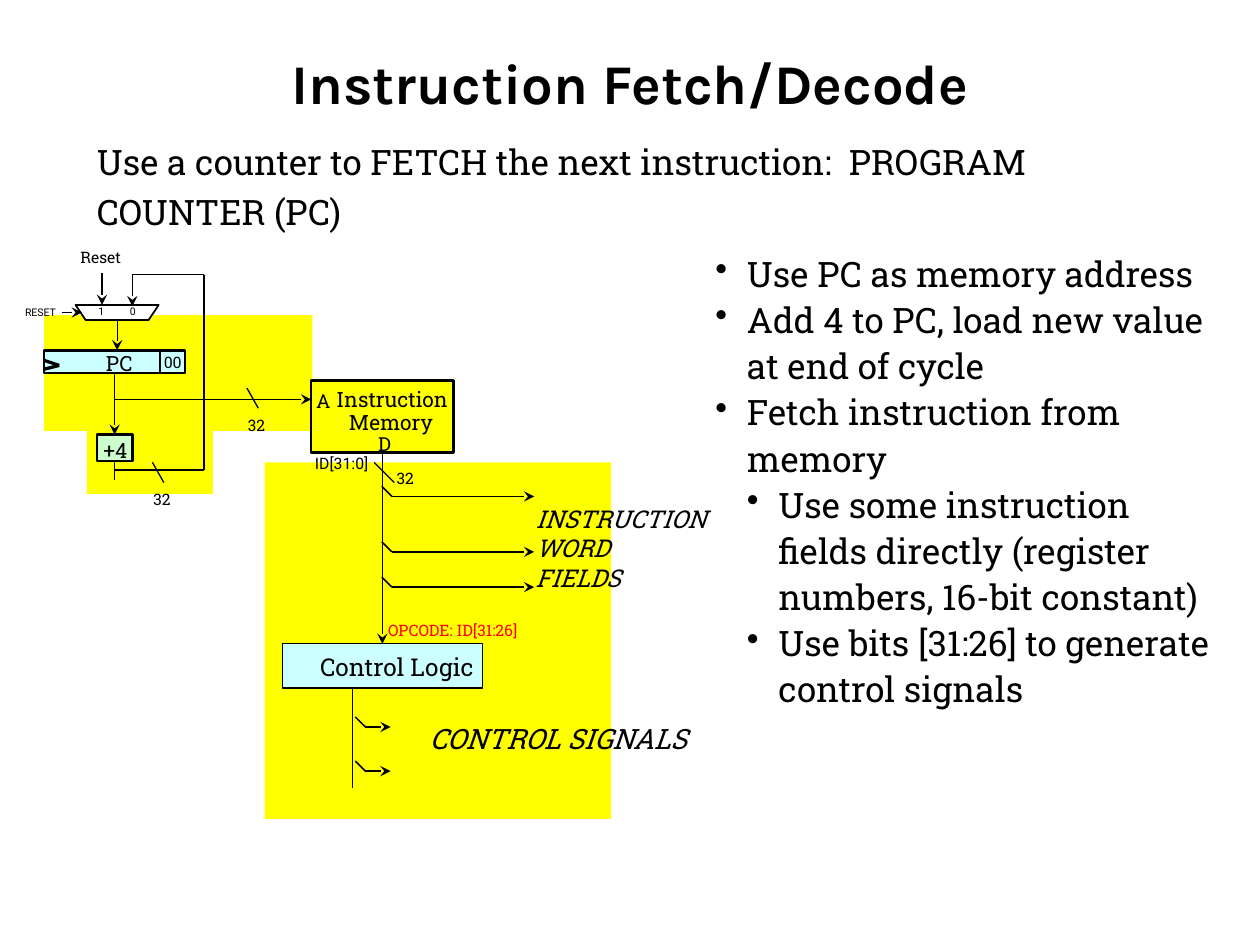
from dataclasses import dataclass
from itertools import pairwise

from lxml import etree
from pptx import Presentation
from pptx.dml.color import RGBColor
from pptx.enum import shapes, text
from pptx.oxml import ns
from pptx.util import Inches, Pt


@dataclass(frozen=True)
class Theme:
    black: str = "000000"
    white: str = "FFFFFF"
    red: str = "FF0000"
    yellow: str = "FFFF00"
    cyan: str = "CCFFFF"
    green: str = "CCFFCC"
    body: str = "Roboto Slab"
    sans: str = "Roboto"
    heading: str = "Karla"
    title: int = 32
    lead: int = 20
    signals: int = 16
    block: int = 14
    unit: int = 12
    port: int = 11
    note: int = 9
    tiny: int = 6


THEME = Theme()
TOP, BOTTOM = 0, 2


@dataclass(frozen=True)
class Box:
    left: float
    top: float
    width: float
    height: float

    def inner(self, left, top, width, height):
        return Box(self.left + left, self.top + top, width, height)

    def point(self, x, y):
        return Inches(self.left + x), Inches(self.top + y)

    def lengths(self):
        return [Inches(v) for v in (self.left, self.top, self.width, self.height)]


def add_span(para, words, size, face=THEME.body, color=THEME.black, **style):
    span = para.add_run()
    span.text = words
    for name, value in {"size": Pt(size), "name": face, **style}.items():
        setattr(span.font, name, value)
    span.font.color.rgb = RGBColor.from_string(color)


def write(shape, words, size, wrap=False, inset=False, **style):
    """Put one paragraph per line of words into the shape."""
    frame = shape.text_frame
    frame.word_wrap = wrap
    frame.auto_size = text.MSO_AUTO_SIZE.SHAPE_TO_FIT_TEXT
    if not inset:
        for side in ("left", "top", "right", "bottom"):
            setattr(frame, f"margin_{side}", 0)
    for index, line in enumerate(words.split("\n")):
        para = frame.add_paragraph() if index else frame.paragraphs[0]
        para.alignment = text.PP_ALIGN.LEFT
        add_span(para, line, size, **style)
    return frame


def add_label(page, box, words, size, **style):
    return write(page.shapes.add_textbox(*box.lengths()), words, size, **style)


def style_shape(shape, fill, line_width=None):
    shape.shadow.inherit = False
    shape.fill.solid()
    shape.fill.fore_color.rgb = RGBColor.from_string(fill)
    if line_width:
        shape.line.width = Pt(line_width)
        shape.line.color.rgb = RGBColor.from_string(THEME.black)
    else:
        shape.line.fill.background()
    return shape


def add_block(page, box, fill, line_width=None):
    block = page.shapes.add_shape(shapes.MSO_SHAPE.RECTANGLE, *box.lengths())
    return style_shape(block, fill, line_width)


def add_wire(page, box, *points, width=0.75, arrow=False):
    """Join the points with straight lines and return the last one."""
    for start, end in pairwise(points):
        wire = page.shapes.add_connector(
            shapes.MSO_CONNECTOR.STRAIGHT, *box.point(*start), *box.point(*end))
        wire.line.width = Pt(width)
        wire.line.color.rgb = RGBColor.from_string(THEME.black)
        etree.SubElement(wire._element.spPr, ns.qn("a:effectLst"))
    if arrow:
        etree.SubElement(wire.line._get_or_add_ln(), ns.qn("a:tailEnd"), type="stealth")
    return wire


def add_tap(page, box, x, y, length):
    """Branch off a vertical bus with a short slant and an arrow."""
    bend = (x + 0.08, y)
    add_wire(page, box, (x, y - 0.08), bend, width=0.88)
    add_wire(page, box, bend, (bend[0] + length, y), arrow=True)


def add_title(page, box):
    frame = add_label(page, box, "Instruction Fetch/Decode", THEME.title, wrap=True,
                      inset=True, face=THEME.heading, bold=True)
    frame.auto_size = text.MSO_AUTO_SIZE.NONE
    frame.vertical_anchor = text.MSO_ANCHOR.MIDDLE
    frame.paragraphs[0].alignment = text.PP_ALIGN.CENTER


def add_lead(page, box):
    words = "Use a counter to FETCH the next instruction:  PROGRAM COUNTER (PC)"
    frame = add_label(page, box, words, THEME.lead, wrap=True, inset=True)
    frame.paragraphs[0].line_spacing = 1.2


def add_fetch(page, box):
    """Program counter, its multiplexer and the adder loop."""
    for area in ((0.25, 0.6, 2.13, 0.92), (0.59, 1.46, 1, 0.56)):
        add_block(page, box.inner(*area), THEME.yellow)
    counter = add_block(page, box.inner(0.25, 0.88, 1.12, 0.18), THEME.cyan, 1.5)
    adder = add_block(page, box.inner(0.67, 1.55, 0.28, 0.21), THEME.green, 1.5)

    outline = page.shapes.build_freeform(*box.point(0.5, 0.52))
    outline.add_line_segments([box.point(*p) for p in ((1.16, 0.52), (1.08, 0.64), (0.58, 0.64))])
    style_shape(outline.convert_to_shape(), THEME.white, 1)

    add_wire(page, box, (0.25, 0.96), (0.37, 1), (0.25, 1.03), width=1.88)
    add_wire(page, box, (1.17, 0.87), (1.17, 1.06), width=1.5)
    step = add_wire(page, box, (0.81, 1.06), (0.81, 1.55), arrow=True)
    step.begin_connect(counter, BOTTOM)
    step.end_connect(adder, TOP)
    add_wire(page, box, (0.81, 1.76), (0.81, 1.91)).begin_connect(adder, BOTTOM)
    for route in (
        [(0.81, 1.83), (1.52, 1.83), (1.52, 0.28), (0.95, 0.28), (0.95, 0.53)],
        [(0.71, 0.27), (0.71, 0.52)],
        [(0.83, 0.64), (0.83, 0.88)],
        [(0.39, 0.58), (0.55, 0.58)],
        [(0.81, 1.27), (2.37, 1.27)],
    ):
        add_wire(page, box, *route, arrow=True)
    for x, y in ((1.11, 1.77), (1.86, 1.18)):
        add_wire(page, box, (x, y), (x + 0.09, y + 0.16))

    for area, words, size, style in (
        ((0.74, 0.88, 0.24, 0.2), "PC", THEME.unit, {}),
        ((0.72, 1.57, 0.21, 0.2), "+4", THEME.unit, {}),
        ((1.2, 0.9, 0.16, 0.15), "00", THEME.note, {}),
        ((1.02, 1.94, 0.37, 0.25), "32", THEME.note, {"inset": True}),
        ((1.77, 1.35, 0.37, 0.25), "32", THEME.note, {"inset": True}),
        ((0.44, 0.02, 0.54, 0.25), "Reset", THEME.note, {"inset": True}),
        ((0, 0.48, 0.48, 0.2), "RESET", THEME.tiny, {"inset": True, "face": THEME.sans}),
        ((0.68, 0.52, 0.05, 0.1), "1", THEME.tiny, {"face": THEME.sans}),
        ((0.93, 0.52, 0.05, 0.1), "0", THEME.tiny, {"face": THEME.sans}),
    ):
        add_label(page, box.inner(*area), words, size, **style)


def add_decode(page, box):
    """Instruction memory, its word fields and the control logic."""
    add_block(page, box.inner(0, 0.67, 2.75, 2.83), THEME.yellow)
    memory = add_block(page, box.inner(0.37, 0.02, 1.13, 0.57), THEME.yellow, 1.5)
    control = add_block(page, box.inner(0.14, 2.11, 1.59, 0.35), THEME.cyan, 0.75)
    name = add_block(page, box.inner(0.44, 2.17, 1.28, 0.24), THEME.cyan)
    write(name, "Control Logic", THEME.block)

    bus = add_wire(page, box, (0.94, 0.59), (0.94, 2.11), arrow=True)
    bus.begin_connect(memory, BOTTOM)
    bus.end_connect(control, TOP)
    add_wire(page, box, (0.87, 0.67), (1.03, 0.83))
    add_wire(page, box, (0.7, 2.47), (0.7, 3.25))
    for y in (0.94, 1.38, 1.66):
        add_tap(page, box, 0.93, y, 1.13)
    for y in (2.77, 3.12):
        add_tap(page, box, 0.72, y, 0.2)

    for area, words, size, style in (
        ((0.57, 0.07, 0.92, 0.2), "Instruction", THEME.unit, {}),
        ((0.67, 0.25, 0.67, 0.2), "Memory", THEME.unit, {}),
        ((0.41, 0.09, 0.12, 0.19), "A", THEME.port, {}),
        ((0.9, 0.43, 0.12, 0.19), "D", THEME.port, {}),
        ((0.4, 0.6, 0.46, 0.15), "ID[31:0]", THEME.note, {"face": THEME.sans}),
        ((0.95, 0.67, 0.37, 0.25), "32", THEME.note, {"inset": True}),
        ((0.98, 1.93, 1.22, 0.15), "OPCODE: ID[31:26]", THEME.note, {"color": THEME.red}),
        ((2.15, 1, 1.39, 0.71), "INSTRUCTION\nWORD\nFIELDS", THEME.block, {"italic": True}),
        ((1.31, 2.73, 2.27, 0.27), "CONTROL SIGNALS", THEME.signals, {"italic": True}),
    ):
        add_label(page, box.inner(*area), words, size, **style)


def add_bullets(page, box):
    points = (
        (0, "Use PC as memory address"),
        (0, "Add 4 to PC, load new value at end of cycle"),
        (0, "Fetch instruction from memory"),
        (1, "Use some instruction fields directly (register numbers, 16-bit constant)"),
        (1, "Use bits [31:26] to generate control signals"),
    )
    frame = add_label(page, box, "\n".join(words for _, words in points), THEME.lead,
                      wrap=True, inset=True)
    for para, (level, _) in zip(frame.paragraphs, points):
        para.level = level
        para.line_spacing = 1.1
        props = para._p.get_or_add_pPr()
        props.set("marL", str(Inches(0.25 * (level + 1))))
        props.set("indent", str(-Inches(0.25)))
        etree.SubElement(props, ns.qn("a:buChar"), char="•")


def main():
    deck = Presentation()
    deck.slide_width, deck.slide_height = Inches(10), Inches(7.5)
    page = deck.slides.add_slide(deck.slide_layouts[6])
    add_title(page, Box(0.5, 0.3, 9, 0.7))
    add_lead(page, Box(0.67, 1, 8.66, 0.9))
    add_fetch(page, Box(0.1, 1.9, 2.37, 2.2))
    add_decode(page, Box(2.1, 3, 3.6, 3.5))
    add_bullets(page, Box(5.58, 1.92, 4.25, 4.17))
    deck.save("out.pptx")


if __name__ == "__main__":
    main()
